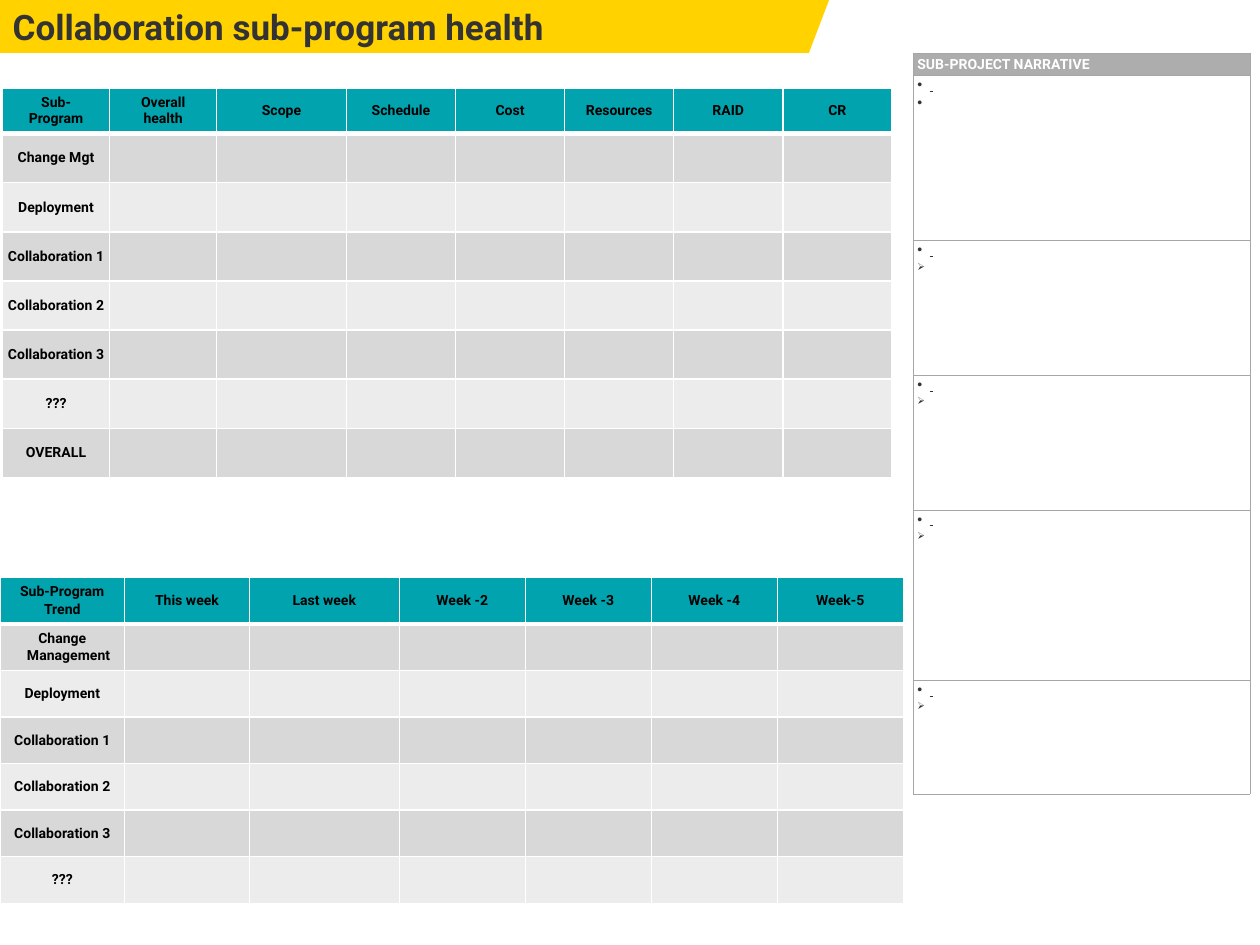
from dataclasses import dataclass

from lxml.etree import SubElement
from pptx import Presentation
from pptx.dml.color import RGBColor
from pptx.enum.text import MSO_ANCHOR, MSO_AUTO_SIZE, PP_ALIGN
from pptx.oxml.ns import qn
from pptx.util import Inches, Pt

COLORS = {
    "ribbon": "FFD200", "title": "333333", "header": "00A3AE",
    "odd_row": "D8D8D8", "even_row": "ECECED", "label": "000000",
    "white": "FFFFFF", "narrative_header": "ADADAD", "narrative_line": "A6A6A6",
}
FONT = "Roboto"
HANGING = 0.1
UNINDENTED = {"Deployment", "Collaboration 3", "OVERALL"}
HEADER_INSETS = (0.1, 0.05)
BODY_INSETS = (0.03, 0.01)


@dataclass
class HealthGrid:
    left: float
    top: float
    widths: list[float]
    header_height: float
    row_height: float
    headings: list[str]
    programs: list[str]


@dataclass
class BulletMark:
    char: str
    typeface: str
    percent: int


DOT = BulletMark("•", "Arial", 100)
ARROW = BulletMark("Ø", "Wingdings", 70)

GRIDS = [
    HealthGrid(
        0.02, 0.7, [0.85, 0.85, 1.03] + [0.866] * 5, 0.33, 0.39,
        ["Sub-Program", "Overall health", "Scope", "Schedule", "Cost",
         "Resources", "RAID", "CR"],
        ["Change Mgt", "Deployment", "Collaboration 1", "Collaboration 2",
         "Collaboration 3", "???", "OVERALL"]),
    HealthGrid(
        0, 4.58, [0.99, 0.99, 1.19] + [1] * 4, 0.33, 0.37,
        ["Sub-Program\nTrend", "This week", "Last week", "Week -2", "Week -3",
         "Week -4", "Week-5"],
        ["Change Management", "Deployment", "Collaboration 1",
         "Collaboration 2", "Collaboration 3", "???"]),
]
NARRATIVE_HEIGHTS = [1.31, 1.07, 1.07, 1.35, 0.9]


def rgb(name: str) -> RGBColor:
    return RGBColor.from_string(COLORS[name])


def format_font(font, color: str, size: float, bold: bool) -> None:
    for key, value in {"name": FONT, "size": Pt(size), "bold": bold}.items():
        setattr(font, key, value)
    font.color.rgb = rgb(color)


def set_borders(cell, color: str, width: float, bottom: float) -> None:
    properties = cell._tc.get_or_add_tcPr()
    for side in ("lnL", "lnR", "lnT", "lnB"):
        points = bottom if side == "lnB" else width
        line = SubElement(properties, qn(f"a:{side}"), w=str(Pt(points)))
        fill = SubElement(line, qn("a:solidFill"))
        SubElement(fill, qn("a:srgbClr"), val=COLORS[color])


def set_insets(cell, insets: tuple[float, float]) -> None:
    across, down = map(Inches, insets)
    margins = {"margin_left": across, "margin_right": across,
               "margin_top": down, "margin_bottom": down}
    for key, value in margins.items():
        setattr(cell, key, value)


def add_table(slide, left: float, top: float, widths: list[float], heights: list[float]):
    table = slide.shapes.add_table(
        len(heights), len(widths), Inches(left), Inches(top),
        Inches(sum(widths)), Inches(sum(heights))).table
    for column, width in zip(table.columns, widths):
        column.width = Inches(width)
    for row, height in zip(table.rows, heights):
        row.height = Inches(height)
    return table


def set_hanging_indent(paragraph) -> None:
    properties = paragraph._p.get_or_add_pPr()
    properties.set("marL", str(Inches(HANGING)))
    properties.set("indent", str(-Inches(HANGING)))


def write_label(cell, label: str) -> None:
    cell.text = label
    cell.vertical_anchor = MSO_ANCHOR.MIDDLE
    for paragraph in cell.text_frame.paragraphs:
        paragraph.alignment = PP_ALIGN.CENTER
        paragraph.space_after = Pt(0.8)
        format_font(paragraph.runs[0].font, "label", 8, True)


def draw_grid(slide, grid: HealthGrid) -> None:
    heights = [grid.header_height] + [grid.row_height] * len(grid.programs)
    table = add_table(slide, grid.left, grid.top, grid.widths, heights)
    for row_number, row in enumerate(table.rows):
        is_header = row_number == 0
        shade = "header" if is_header else "odd_row" if row_number % 2 else "even_row"
        for cell in row.cells:
            set_borders(cell, "white", 1, 3 if is_header else 1)
            cell.fill.solid()
            cell.fill.fore_color.rgb = rgb(shade)
            set_insets(cell, HEADER_INSETS if is_header else BODY_INSETS)
    for column, heading in enumerate(grid.headings):
        write_label(table.cell(0, column), heading)
    for row_number, program in enumerate(grid.programs, 1):
        cell = table.cell(row_number, 0)
        write_label(cell, program)
        if program not in UNINDENTED:
            set_hanging_indent(cell.text_frame.paragraphs[0])


def add_open_bullet(paragraph, mark: BulletMark, underline: bool) -> None:
    """Leave a bullet with a blank entry, to be filled in."""
    set_hanging_indent(paragraph)
    properties = paragraph._p.get_or_add_pPr()
    SubElement(properties, qn("a:buSzPct"), val=str(mark.percent * 1000))
    SubElement(properties, qn("a:buFont"), typeface=mark.typeface)
    SubElement(properties, qn("a:buChar"), char=mark.char)
    entry = paragraph.add_run()
    entry.text = " "
    format_font(entry.font, "title", 8, False)
    entry.font.underline = underline


def draw_narrative(slide) -> None:
    table = add_table(slide, 7.25, 0.42, [2.67], [0.18] + NARRATIVE_HEIGHTS)
    table.horz_banding = False
    for row in table.rows:
        cell = row.cells[0]
        set_borders(cell, "narrative_line", 0.25, 0.25)
        cell.fill.background()
        set_insets(cell, BODY_INSETS)
    header = table.cell(0, 0)
    header.fill.solid()
    header.fill.fore_color.rgb = rgb("narrative_header")
    header.text = "SUB-PROJECT NARRATIVE"
    header.vertical_anchor = MSO_ANCHOR.MIDDLE
    format_font(header.text_frame.paragraphs[0].runs[0].font, "white", 8, True)
    for row_number in range(1, len(table.rows)):
        frame = table.cell(row_number, 0).text_frame
        add_open_bullet(frame.paragraphs[0], DOT, True)
        second = frame.add_paragraph()
        second.space_before = Pt(0.8)
        add_open_bullet(second, DOT if row_number == 1 else ARROW, False)


def draw_title(slide) -> None:
    outline = slide.shapes.build_freeform(Inches(6.58), 0)
    outline.add_line_segments(
        [(Inches(x), Inches(y)) for x, y in ((6.42, 0.42), (0, 0.42), (0, 0))], close=True)
    ribbon = outline.convert_to_shape()
    ribbon.shadow.inherit = False
    ribbon.fill.solid()
    ribbon.fill.fore_color.rgb = rgb("ribbon")
    ribbon.line.fill.background()

    title = slide.shapes.title
    slide.shapes._spTree.append(title._element)  # in front of the ribbon
    place = {"left": 0, "top": 0, "width": Inches(6.42), "height": Inches(0.42)}
    for key, value in place.items():
        setattr(title, key, value)
    frame = title.text_frame
    frame.text = "Collaboration sub-program health"
    frame.auto_size = MSO_AUTO_SIZE.NONE
    frame.vertical_anchor = MSO_ANCHOR.MIDDLE
    frame.paragraphs[0].alignment = PP_ALIGN.LEFT
    format_font(frame.paragraphs[0].runs[0].font, "title", 20, True)


def main() -> None:
    deck = Presentation()
    deck.slide_width, deck.slide_height = Inches(10), Inches(7.5)
    slide = deck.slides.add_slide(deck.slide_layouts[5])
    draw_title(slide)
    for grid in GRIDS:
        draw_grid(slide, grid)
    draw_narrative(slide)
    deck.save("out.pptx")


if __name__ == "__main__":
    main()
